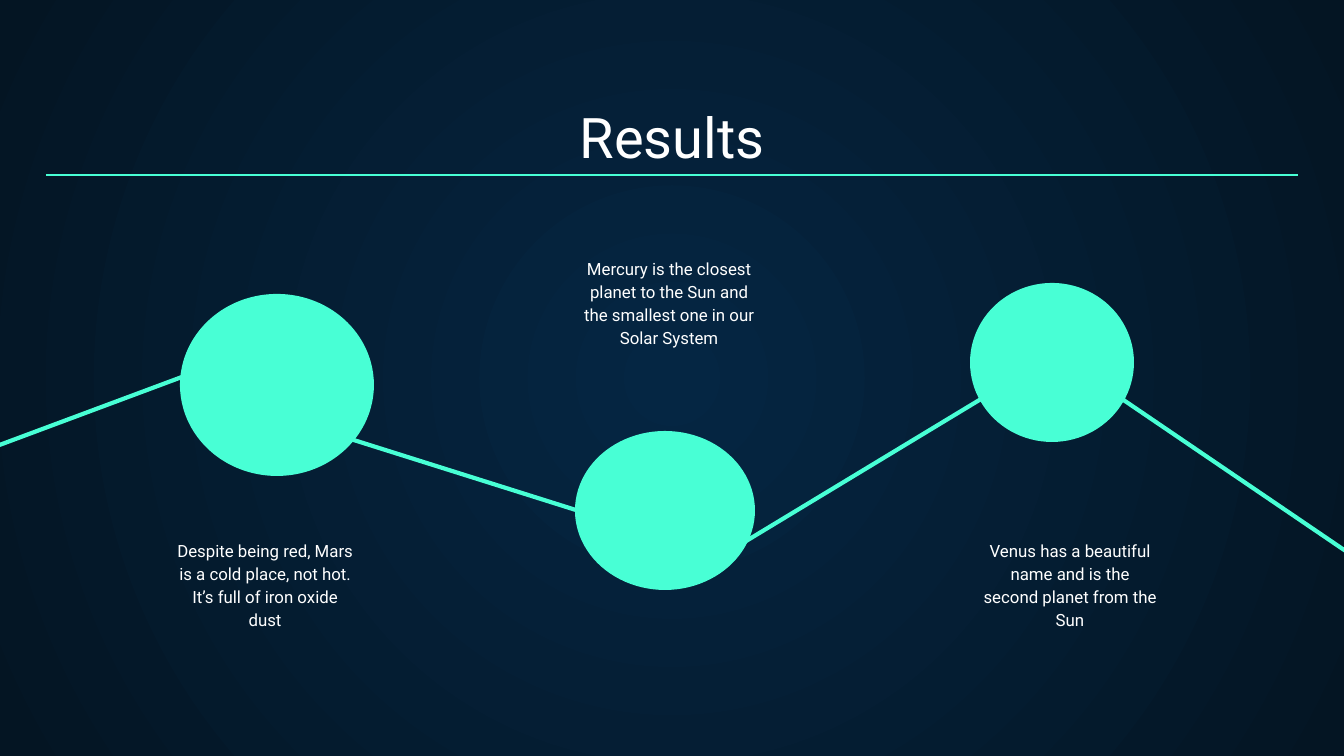
from pptx import Presentation
from pptx.dml.color import RGBColor
from pptx.enum.shapes import MSO_CONNECTOR, MSO_SHAPE
from pptx.enum.text import MSO_ANCHOR, MSO_AUTO_SIZE, PP_ALIGN
from pptx.oxml import parse_xml
from pptx.oxml.ns import nsdecls, qn
from pptx.util import Inches, Pt

MINT = RGBColor(0x48, 0xFF, 0xD5)
WHITE = RGBColor(0xFF, 0xFF, 0xFF)
NAVY = RGBColor(0x05, 0x26, 0x43)
NIGHT = RGBColor(0x04, 0x15, 0x23)
FONT = "Roboto"
PX = Inches(10) / 1344

TITLE = "Results"
TITLE_BOX = (46, 94, 1252, 89)
NOTE_SIZE = (204, 74)
# Text and its left, top
NOTES = [
    ("Despite being red, Mars is a cold place, not hot. "
     "It’s full of iron oxide dust", 163, 524),
    ("Mercury is the closest planet to the Sun and "
     "the smallest one in our Solar System", 567, 242),
    ("Venus has a beautiful name and is the second planet from the Sun",
     968, 524),
]
# Left, top, width, height
PLANETS = [(180, 294, 194, 182), (575, 431, 180, 159), (970, 283, 164, 159)]
# Start x, y and end x, y
LINKS = [
    (344, 437, 579, 511),
    (738, 546, 1001, 387),
    (190, 374, -89, 478),
    (1378, 573, 1122, 399),
]
RULE = (46, 175, 1298, 175)


def emu(*vals):
    return [round(v * PX) for v in vals]


def paint(slide):
    """Fill the background with a radial gradient."""
    fill = slide.background.fill
    fill.gradient()
    for stop, color in zip(fill.gradient_stops, (NAVY, NIGHT)):
        stop.color.rgb = color
    grad = slide.element.find(".//" + qn("a:gradFill"))
    radial = parse_xml(
        f'<a:path {nsdecls("a")} path="circle">'
        '<a:fillToRect l="50000" t="50000" r="50000" b="50000"/></a:path>')
    grad.replace(grad.find(qn("a:lin")), radial)


def write(holder, text, box, size, anchor):
    holder.left, holder.top, holder.width, holder.height = emu(*box)
    frame = holder.text_frame
    frame.text = text
    frame.word_wrap = True
    frame.auto_size = MSO_AUTO_SIZE.NONE
    frame.vertical_anchor = anchor
    frame.margin_left = frame.margin_right = Inches(0.1)
    frame.margin_top = frame.margin_bottom = Inches(0.1)
    para = frame.paragraphs[0]
    para.alignment = PP_ALIGN.CENTER
    para.space_before = Pt(0)
    font = para.runs[0].font
    font.name, font.size, font.bold = FONT, Pt(size), False
    font.color.rgb = WHITE
    return para


def add_note(holder, text, left, top):
    para = write(holder, text, (left, top, *NOTE_SIZE), 9, MSO_ANCHOR.TOP)
    para.line_spacing = 1.15
    para.space_after = Pt(16)
    props = para._p.get_or_add_pPr()
    props.set("marL", "0")
    props.set("indent", "0")
    props.append(parse_xml(f'<a:buNone {nsdecls("a")}/>'))


def add_planet(slide, box):
    disc = slide.shapes.add_shape(MSO_SHAPE.OVAL, *emu(*box))
    disc.shadow.inherit = False
    disc.fill.solid()
    disc.fill.fore_color.rgb = MINT
    disc.line.fill.background()


def add_line(slide, ends, width):
    line = slide.shapes.add_connector(MSO_CONNECTOR.STRAIGHT, *emu(*ends))
    line.line.color.rgb = MINT
    line.line.width = Pt(width)
    line._element.spPr.append(parse_xml(f'<a:effectLst {nsdecls("a")}/>'))


def main():
    deck = Presentation()
    deck.slide_width, deck.slide_height = emu(1344, 756)
    slide = deck.slides.add_slide(deck.slide_layouts.get_by_name("Comparison"))
    paint(slide)
    title, *holders = slide.placeholders
    write(title, TITLE, TITLE_BOX, 30, MSO_ANCHOR.BOTTOM)
    for holder, note in zip(holders, NOTES):
        add_note(holder, *note)
    for spare in holders[len(NOTES):]:
        spare.element.getparent().remove(spare.element)
    for box in PLANETS:
        add_planet(slide, box)
    for ends in LINKS:
        add_line(slide, ends, 2.25)
    add_line(slide, RULE, 0.75)
    deck.save("out.pptx")


if __name__ == "__main__":
    main()
